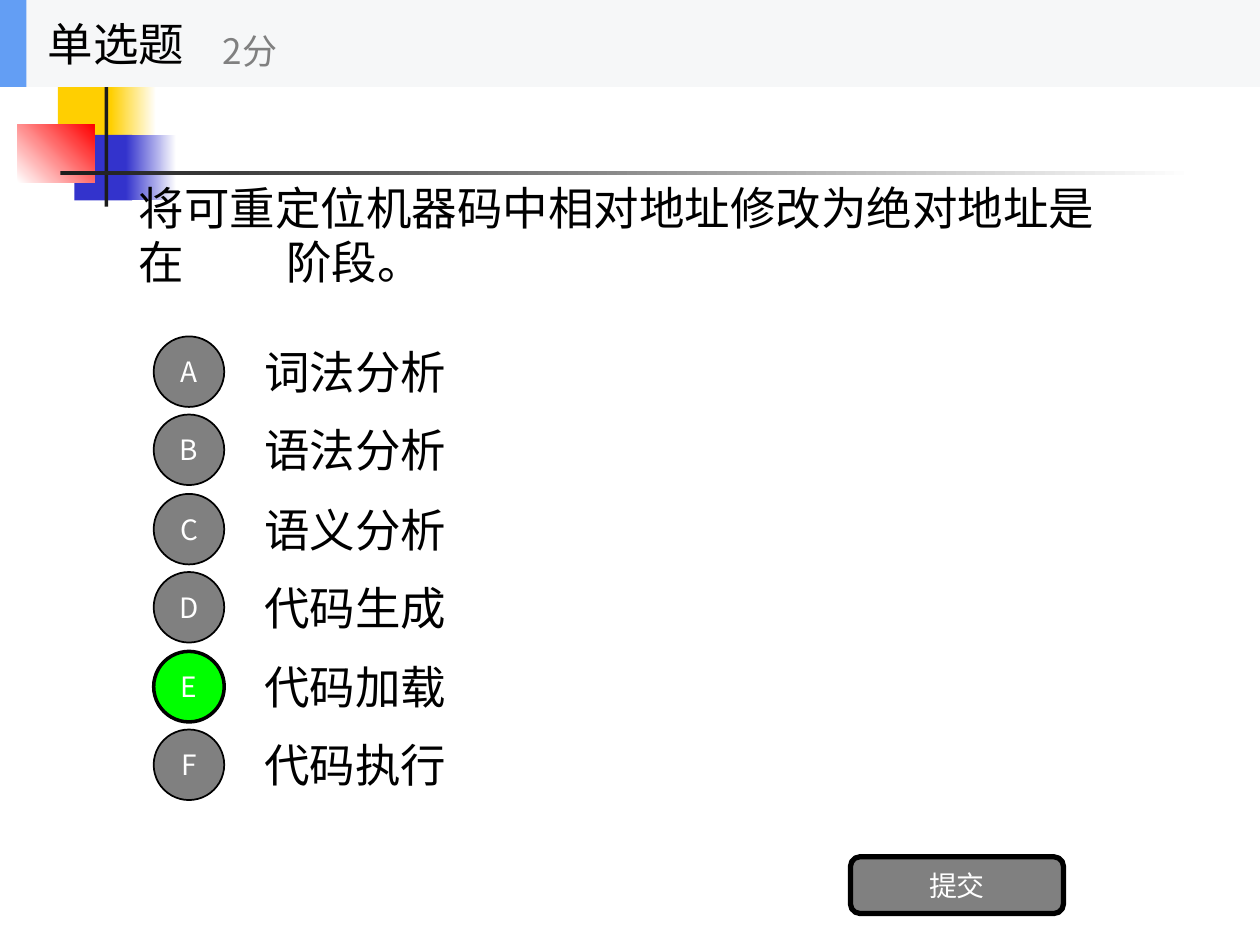
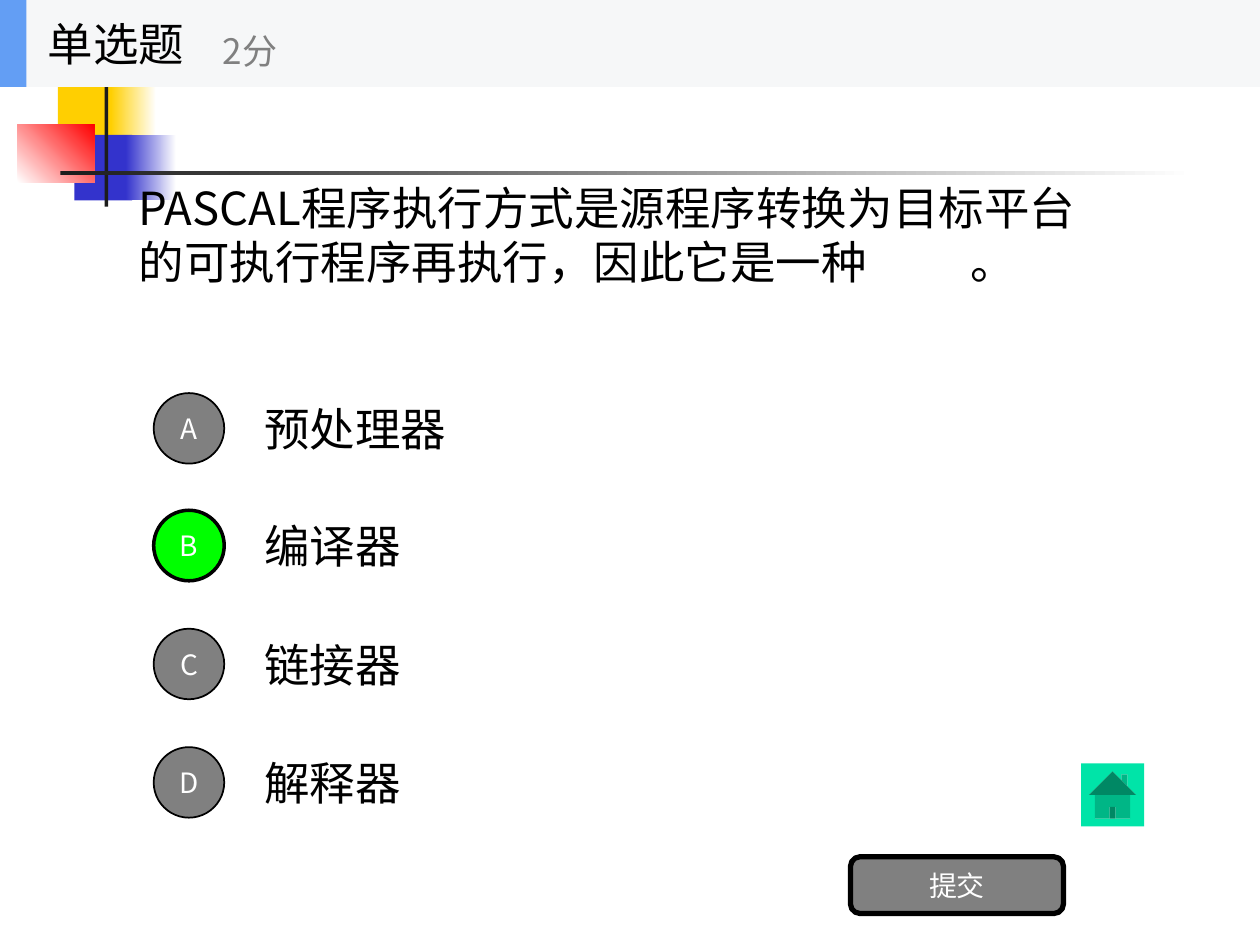
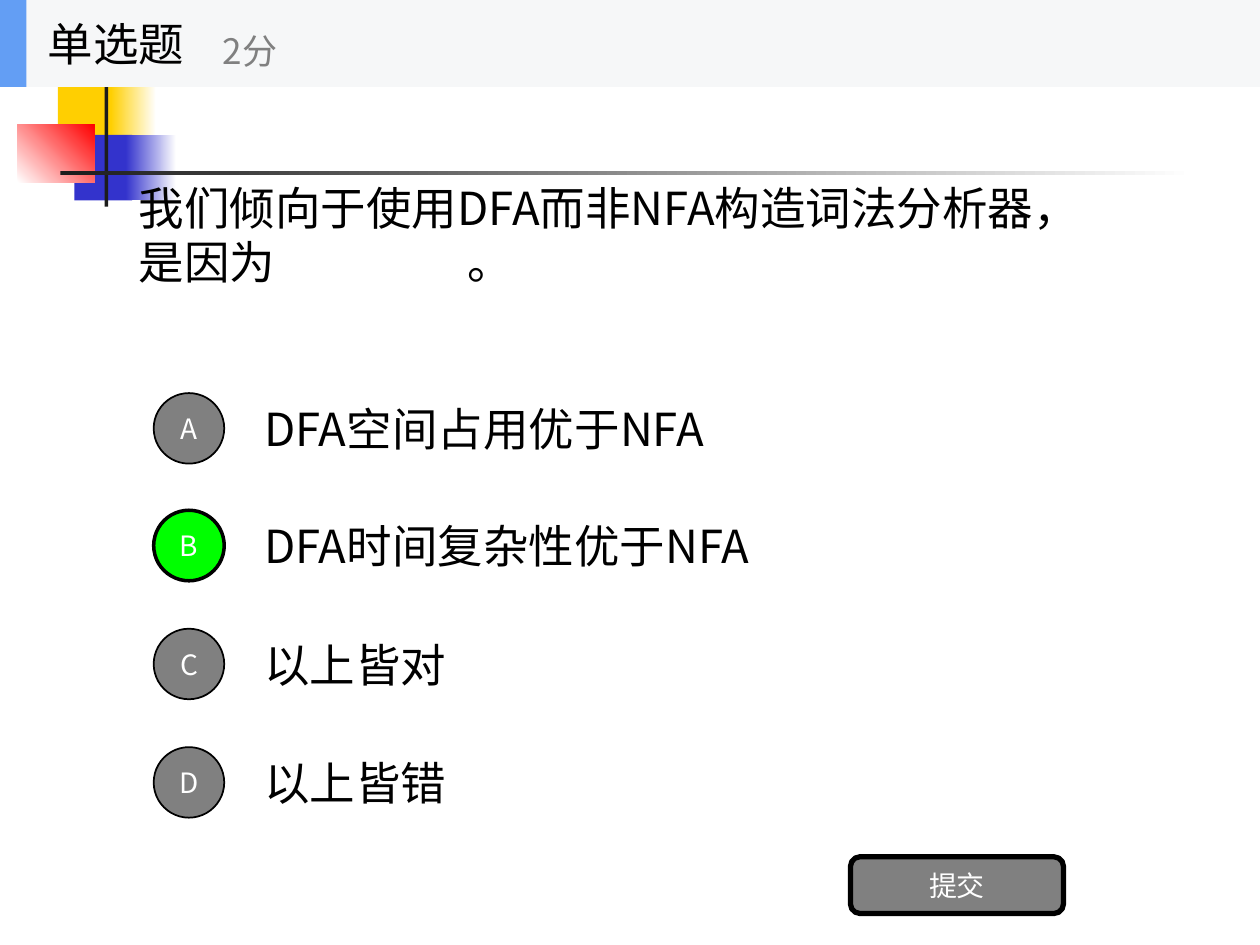
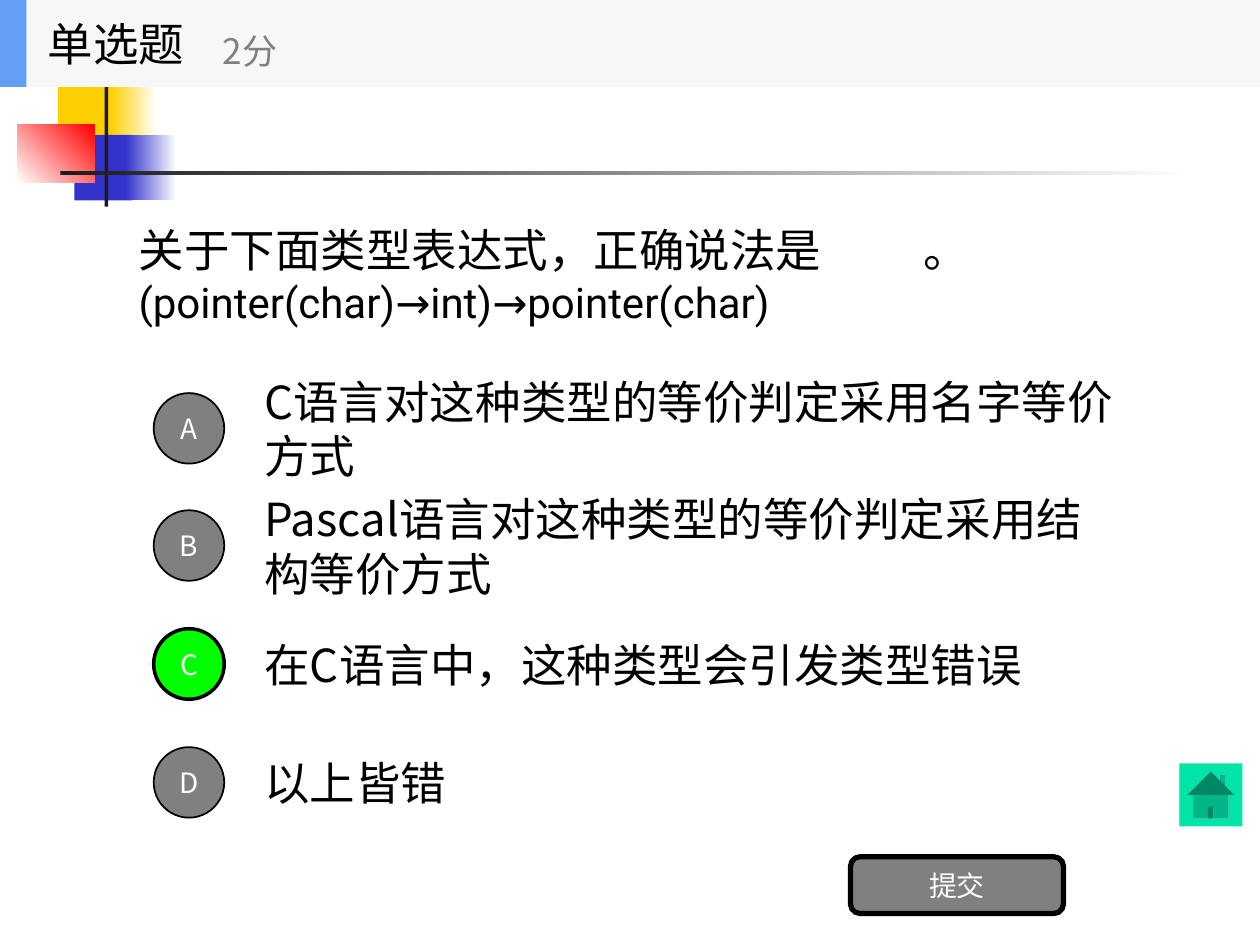
from dataclasses import dataclass

from lxml.etree import SubElement
from pptx import Presentation
from pptx.dml.color import RGBColor as Rgb
from pptx.enum.shapes import MSO_SHAPE as Preset
from pptx.enum.text import MSO_ANCHOR as Anchor, MSO_AUTO_SIZE as AutoSize, PP_ALIGN as Align
from pptx.oxml.ns import qn
from pptx.util import Pt

PX = 9144
TITLE_ONLY = 5


@dataclass(frozen=True)
class Theme:
    font: str = "Noto Sans CJK SC"
    code_font: str = "Roboto"
    body: int = 26
    code: int = 24
    points: int = 20
    label: int = 16
    ink: str = "000000"
    paper: str = "FFFFFF"
    grey: str = "808080"
    right: str = "00FF00"
    band: str = "F6F7F8"
    accent: str = "639EF4"
    home: str = "00E4A8"
    yellow: str = "FFCF01"
    blue: str = "3333CC"
    red: str = "FF0000"
    rule: str = "1C1C1C"


@dataclass(frozen=True)
class Question:
    lead: str
    tail: str
    blank_end: int
    options: tuple
    answer: str
    box: tuple = (100, 69, 800, 234)
    options_top: int = 305
    code: str = ""
    home_left: int = 0


QUESTIONS = (
    Question("将可重定位机器码中相对地址修改为绝对地址是在", "阶段。", 117,
             ("词法分析", "语法分析", "语义分析", "代码生成", "代码加载", "代码执行"),
             "E", options_top=260),
    Question("PASCAL程序执行方式是源程序转换为目标平台的可执行程序再执行，因此它是一种", "。", 660,
             ("预处理器", "编译器", "链接器", "解释器"), "B", home_left=858),
    Question("我们倾向于使用DFA而非NFA构造词法分析器，是因为", "。", 261,
             ("DFA空间占用优于NFA", "DFA时间复杂性优于NFA", "以上皆对", "以上皆错"), "B"),
    Question("关于下面类型表达式，正确说法是", "。", 623,
             ("C语言对这种类型的等价判定采用名字等价方式",
              "Pascal语言对这种类型的等价判定采用结构等价方式",
              "在C语言中，这种类型会引发类型错误", "以上皆错"),
             "C", box=(100, 131, 800, 173),
             code="(pointer(char)→int)→pointer(char)", home_left=936),
)


def assign(target, values):
    for key, value in values.items():
        setattr(target, key, value)


class QuizDeck:
    def __init__(self, theme):
        self.theme = theme
        self.prs = Presentation()
        assign(self.prs, {"slide_width": 1000 * PX, "slide_height": 750 * PX})
        self.layout = self.prs.slide_layouts[TITLE_ONLY]
        self.slide = None

    def new_slide(self):
        self.slide = self.prs.slides.add_slide(self.layout)

    def frame(self, shape, wrap=True):
        assign(shape.text_frame, {"auto_size": AutoSize.NONE, "word_wrap": wrap,
                                  "vertical_anchor": Anchor.MIDDLE})
        return shape.text_frame

    def run(self, paragraph, text, size, color, font=None, underline=False):
        run = paragraph.add_run()
        run.text = text
        face = font or self.theme.font
        assign(run.font, {"size": Pt(size), "name": face, "underline": underline})
        run.font.color.rgb = Rgb.from_string(color)
        SubElement(run.font._element, qn("a:ea"), typeface=face)

    def text(self, box, words, size, color, wrap=True, parent=None):
        shapes = (parent or self.slide).shapes
        frame = self.frame(shapes.add_textbox(*(n * PX for n in box)), wrap)
        self.run(frame.paragraphs[0], words, size, color)

    def shape(self, preset, box, fill, parent=None, fade=None, angle=0, line=0, label=""):
        shapes = (parent or self.slide).shapes
        shape = shapes.add_shape(preset, *(n * PX for n in box))
        shape.shadow.inherit = False
        if fade:
            shape.fill.gradient()
            shape.fill.gradient_angle = angle
            for stop, color in zip(shape.fill.gradient_stops, (fill, fade)):
                stop.color.rgb = Rgb.from_string(color)
        else:
            shape.fill.solid()
            shape.fill.fore_color.rgb = Rgb.from_string(fill)
        if line:
            shape.line.width = Pt(line)
            shape.line.color.rgb = Rgb.from_string(self.theme.ink)
        else:
            shape.line.fill.background()
        if label:
            paragraph = self.frame(shape, wrap=False).paragraphs[0]
            paragraph.alignment = Align.CENTER
            self.run(paragraph, label, self.theme.label, self.theme.paper)
        return shape

    def motif(self):
        t = self.theme
        parts = (
            ((46, 61, 48, 52), t.yellow, None, 0),
            ((88, 61, 36, 52), t.yellow, t.paper, 0),
            ((59, 107, 46, 52), t.blue, None, 0),
            ((100, 107, 40, 52), t.blue, t.paper, 0),
            ((14, 99, 61, 46), t.paper, t.red, 45),
            ((83, 49, 3, 115), t.rule, None, 0),
            ((48, 136, 900, 3), t.rule, t.paper, 0),
        )
        for box, fill, fade, angle in parts:
            part = self.shape(Preset.RECTANGLE, box, fill, fade=fade, angle=angle)
            self.layout.shapes.element.append(part.element)

    def header(self):
        t = self.theme
        group = self.slide.shapes.add_group_shape()
        self.shape(Preset.RECTANGLE, (0, 0, 1000, 69), t.band, group)
        self.shape(Preset.RECTANGLE, (0, 0, 21, 69), t.accent, group)
        self.text((28, 0, 208, 69), "单选题", t.body, t.ink, False, group)
        self.text((167, 12, 250, 56), "2分", t.points, t.grey, False, group)

    def prompt(self, question):
        t = self.theme
        title = self.slide.shapes.title
        assign(title, dict(zip(("left", "top", "width", "height"),
                               (n * PX for n in question.box))))
        frame = self.frame(title)
        sentence = frame.paragraphs[0]
        sentence.alignment = Align.LEFT
        stops = SubElement(sentence._p.get_or_add_pPr(), qn("a:tabLst"))
        SubElement(stops, qn("a:tab"), pos=str(question.blank_end * PX), algn="l")
        self.run(sentence, question.lead, t.body, t.ink)
        self.run(sentence, "\t", t.body, t.ink, underline=True)
        self.run(sentence, question.tail, t.body, t.ink)
        if question.code:
            expression = frame.add_paragraph()
            expression.alignment = Align.LEFT
            self.run(expression, question.code, t.code, t.ink, t.code_font)

    def options(self, question):
        t = self.theme
        for index, option in enumerate(question.options):
            top = question.options_top + index * 375 // len(question.options)
            letter = "ABCDEF"[index]
            fill, line = (t.right, 2) if letter == question.answer else (t.grey, 1)
            self.text((200, top, 700, 70), option, t.body, t.ink)
            self.shape(Preset.OVAL, (122, top + 7, 56, 56), fill, line=line, label=letter)

    def buttons(self, question):
        t = self.theme
        self.shape(Preset.ROUNDED_RECTANGLE, (675, 680, 169, 45), t.grey, line=3, label="提交")
        if question.home_left:
            self.shape(Preset.ACTION_BUTTON_HOME, (question.home_left, 606, 50, 50), t.home)


def main():
    deck = QuizDeck(Theme())
    for number, question in enumerate(QUESTIONS):
        deck.new_slide()
        if number == 0:
            deck.motif()
        deck.prompt(question)
        deck.options(question)
        deck.buttons(question)
        deck.header()
    deck.prs.save("out.pptx")


if __name__ == "__main__":
    main()
